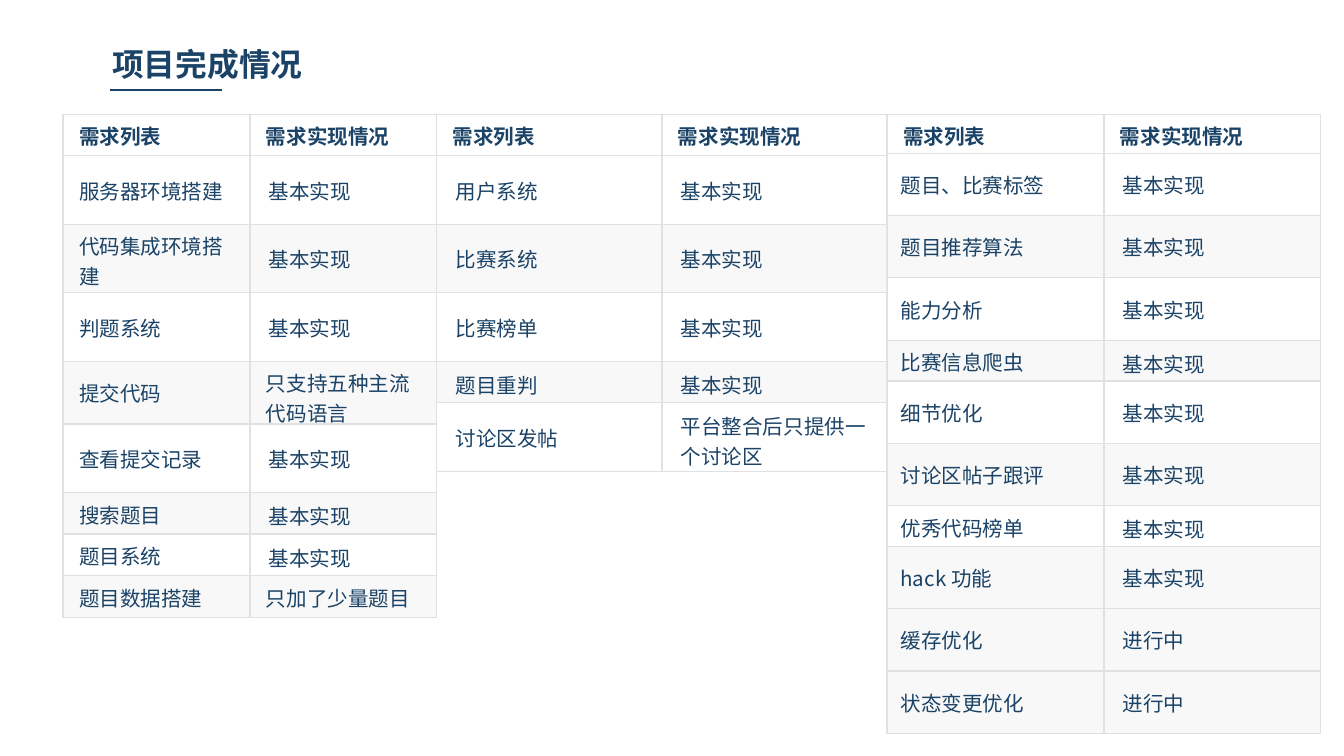
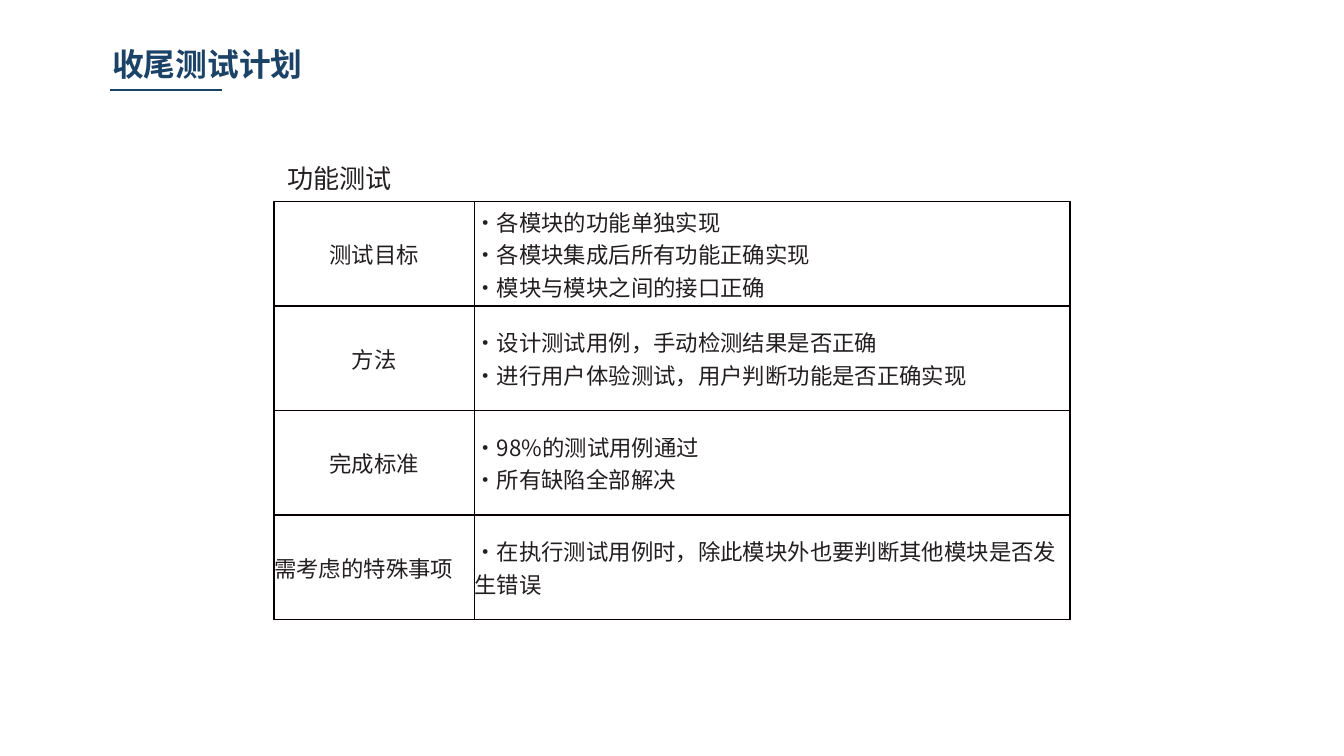
import dataclasses
import typing

import lxml.etree
import pptx
import pptx.dml.color
import pptx.enum.shapes
import pptx.enum.text
import pptx.oxml.ns
import pptx.presentation
import pptx.slide
import pptx.table
import pptx.text.text
import pptx.util

Pt = pptx.util.Pt
qn = pptx.oxml.ns.qn
Align = pptx.enum.text.PP_ALIGN
Pad = tuple[float, float]

FONT = "Noto Sans CJK SC"
HEX = {"navy": "1B4367", "ink": "231F20", "white": "FFFFFF",
       "band": "F8F8F8", "rule": "DFE2E5", "black": "080000"}

NONE: Pad = (0, 0)
SLIM: Pad = (7.2, 3.6)
MID: Pad = (8.6, 3.6)
WIDE: Pad = (10.1, 4.3)

DONE = "基本实现"
DOING = "进行中"
LOW, TALL = 22.3, 36.7
TIGHT, STEP = 20.2, 33.4


@dataclasses.dataclass
class Style:
    size: float
    color: str
    bold: bool = False
    align: typing.Optional[Align] = None


@dataclasses.dataclass
class Need:
    """A requirement, its status, row height, fill and status margins."""
    name: str
    state: str = DONE
    height: float = TALL
    fill: typing.Optional[str] = None
    pad: Pad = WIDE


@dataclasses.dataclass
class Board:
    """One requirement table; pad holds the margins of its name column."""
    left: float
    width: float
    height: float
    pad: Pad
    head: Need
    needs: list[Need]


@dataclasses.dataclass
class Check:
    label: str
    points: list[str]
    align: typing.Optional[Align] = Align.CENTER


TITLE = Style(17, "navy", True)
HEAD = Style(11, "navy", True)
BODY = Style(11, "navy")
TOPIC = Style(14, "ink")
PLAN = Style(12, "ink")


def head(height: float, fill: typing.Optional[str] = None) -> Need:
    return Need("需求列表", "需求实现情况", height, fill, MID)


BOARDS = [
    Board(33.8, 200.2, 269.3, MID, head(LOW), [
        Need("服务器环境搭建"),
        Need("代码集成环境搭建", fill="band"),
        Need("判题系统"),
        Need("提交代码", "只支持五种主流代码语言", LOW, "band", MID),
        Need("查看提交记录"),
        Need("搜索题目", height=LOW, fill="band"),
        Need("题目系统", height=LOW),
        Need("题目数据搭建", "只加了少量题目", LOW, "band", MID),
    ]),
    Board(234, 241.2, 191.5, WIDE, head(LOW), [
        Need("用户系统"),
        Need("比赛系统", fill="band"),
        Need("比赛榜单"),
        Need("题目重判", height=LOW, fill="band"),
        Need("讨论区发帖", "平台整合后只提供一个讨论区"),
    ]),
    Board(475.2, 232.4, 329.8, SLIM, head(20.9, "white"), [
        Need("题目、比赛标签", DONE, STEP, "white"),
        Need("题目推荐算法", DONE, STEP, "band"),
        Need("能力分析", DONE, STEP, "white"),
        Need("比赛信息爬虫", DONE, TIGHT, "band"),
        Need("细节优化", DONE, STEP, "white"),
        Need("讨论区帖子跟评", DONE, STEP, "band"),
        Need("优秀代码榜单", DONE, TIGHT, "white"),
        Need("hack 功能", DONE, STEP, "band"),
        Need("缓存优化", DOING, STEP, "band"),
        Need("状态变更优化", DOING, STEP, "band"),
    ]),
]

CHECKS = [
    Check("测试目标", ["·各模块的功能单独实现", "·各模块集成后所有功能正确实现",
                   "·模块与模块之间的接口正确"]),
    Check("方法", ["·设计测试用例，手动检测结果是否正确",
                 "·进行用户体验测试，用户判断功能是否正确实现"]),
    Check("完成标准", ["·98%的测试用例通过", "·所有缺陷全部解决"]),
    Check("需考虑的特殊事项",
          ["·在执行测试用例时，除此模块外也要判断其他模块是否发生错误"], None),
]


def shade(key: str) -> pptx.dml.color.RGBColor:
    return pptx.dml.color.RGBColor.from_string(HEX[key])


def write(frame: pptx.text.text.TextFrame, text: str, style: Style) -> None:
    """Put text in the frame, one paragraph a line, and format its runs."""
    frame.text = text
    for para in frame.paragraphs:
        if style.align is not None:
            para.alignment = style.align
        for run in para.runs:
            run.font.size = Pt(style.size)
            run.font.bold = style.bold
            run.font.color.rgb = shade(style.color)
            run.font.name = FONT
            props = run.font._element
            lxml.etree.SubElement(props, qn("a:ea"), typeface=FONT)


def label(slide: pptx.slide.Slide, box: tuple[float, float, float, float],
          text: str, style: Style, pad: Pad) -> None:
    """Add a wrapped text box that grows with its text."""
    frame = slide.shapes.add_textbox(*map(Pt, box)).text_frame
    frame.word_wrap = True
    frame.auto_size = pptx.enum.text.MSO_AUTO_SIZE.SHAPE_TO_FIT_TEXT
    frame.margin_left = frame.margin_right = Pt(pad[0])
    frame.margin_top = frame.margin_bottom = Pt(pad[1])
    write(frame, text, style)


def page(deck: pptx.presentation.Presentation, title: str) -> pptx.slide.Slide:
    """Add a blank slide with the shared title and its underline."""
    slide = deck.slides.add_slide(deck.slide_layouts[6])
    label(slide, (51.1, 20.9, 281.5, 25.9), title, TITLE, (8.9, 2.9))
    line = slide.shapes.add_connector(
        pptx.enum.shapes.MSO_CONNECTOR.STRAIGHT,
        Pt(59), Pt(48.2), Pt(118.8), Pt(48.2))
    line.line.color.rgb = shade("navy")
    line.line.width = Pt(0.75)
    lxml.etree.SubElement(line._element.spPr, qn("a:effectLst"))
    return slide


def grid(slide: pptx.slide.Slide, left: float, top: float, height: float,
         cols: list[float], rows: list[float]) -> pptx.table.Table:
    """Add a plain table; rows may grow up to the full height."""
    shape = slide.shapes.add_table(len(rows), len(cols), Pt(left), Pt(top),
                                   Pt(sum(cols)), Pt(height))
    table = shape.table
    table.first_row = table.horz_banding = False
    for col, size in zip(table.columns, cols):
        col.width = Pt(size)
    for row, size in zip(table.rows, rows):
        row.height = Pt(size)
    shape.height = Pt(height)
    return table


def edge(cell: pptx.table._Cell, color: str, width: float) -> None:
    """Draw the four borders of a cell."""
    props = cell._tc.get_or_add_tcPr()
    for spot, side in enumerate("LRTB"):
        line = lxml.etree.Element(qn(f"a:ln{side}"), w=str(Pt(width)))
        fill = lxml.etree.SubElement(line, qn("a:solidFill"))
        lxml.etree.SubElement(fill, qn("a:srgbClr"), val=HEX[color])
        props.insert(spot, line)


def fill(cell: pptx.table._Cell, text: str, style: Style, pad: Pad,
         back: typing.Optional[str], rule: str, width: float) -> None:
    """Set the text, margins, background and borders of a cell."""
    write(cell.text_frame, text, style)
    cell.vertical_anchor = pptx.enum.text.MSO_ANCHOR.MIDDLE
    cell.margin_left = cell.margin_right = Pt(pad[0])
    cell.margin_top = cell.margin_bottom = Pt(pad[1])
    if back:
        cell.fill.solid()
        cell.fill.fore_color.rgb = shade(back)
    else:
        cell.fill.background()
    edge(cell, rule, width)


def board(slide: pptx.slide.Slide, data: Board) -> None:
    needs = [data.head, *data.needs]
    table = grid(slide, data.left, 61.2, data.height, [data.width / 2] * 2,
                 [need.height for need in needs])
    for row, need in enumerate(needs):
        style, pad = (BODY, data.pad) if row else (HEAD, MID)
        for col, (text, room) in enumerate([(need.name, pad),
                                            (need.state, need.pad)]):
            fill(table.cell(row, col), text, style, room, need.fill,
                 "rule", 0.75)


def plan(slide: pptx.slide.Slide) -> None:
    label(slide, (146.9, 83.5, 400.3, 24.5), "功能测试", TOPIC, SLIM)
    step = 56
    table = grid(slide, 146.9, 108, step * len(CHECKS), [107.3, 319],
                 [step] * len(CHECKS))
    for row, check in enumerate(CHECKS):
        style = dataclasses.replace(PLAN, align=check.align)
        fill(table.cell(row, 0), check.label, style, NONE, None, "black", 1)
        fill(table.cell(row, 1), "\n".join(check.points), PLAN, NONE, None,
             "black", 1)


def main() -> None:
    deck = pptx.Presentation()
    deck.slide_width, deck.slide_height = Pt(720), Pt(405)
    slide = page(deck, "项目完成情况")
    for data in BOARDS:
        board(slide, data)
    plan(page(deck, "收尾测试计划"))
    deck.save("out.pptx")


if __name__ == "__main__":
    main()
